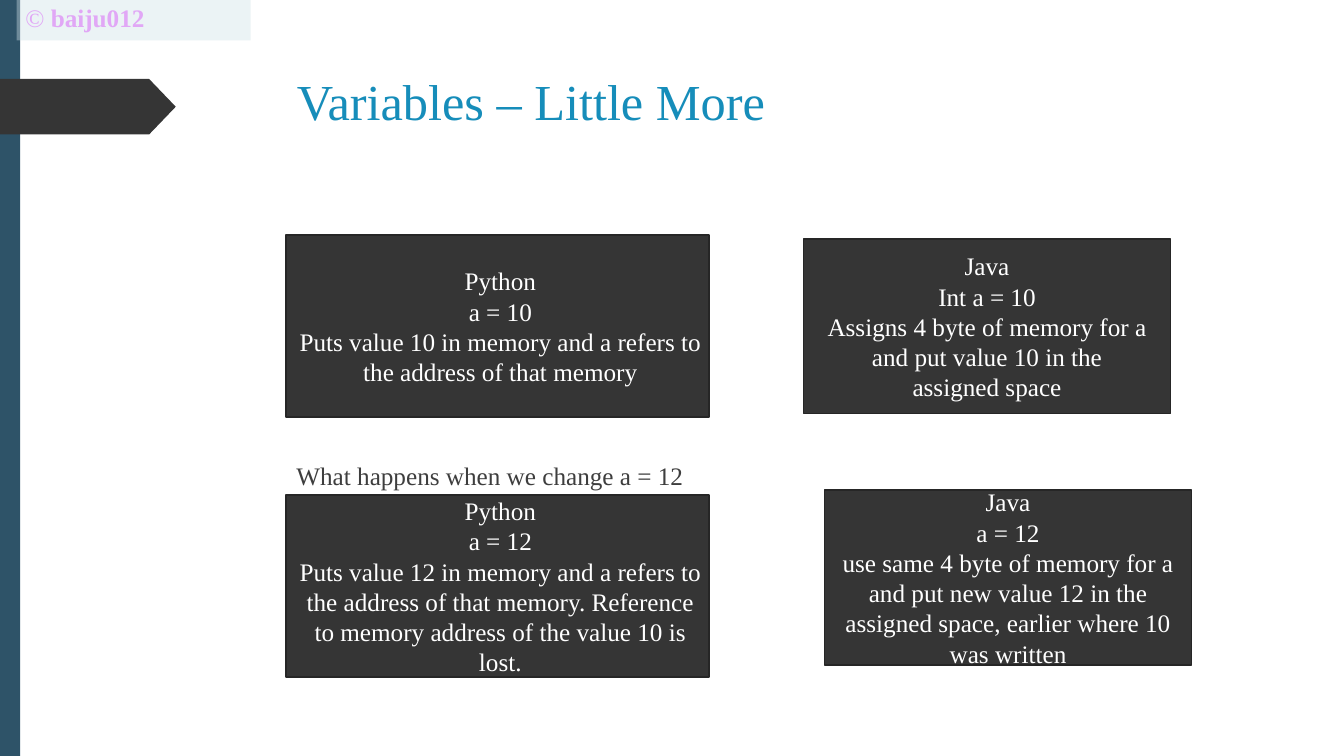
"""Build a slide comparing how Python and Java store variables."""
from dataclasses import dataclass
from typing import Optional

from lxml import etree
from pptx import Presentation
from pptx.dml.color import RGBColor
from pptx.enum import shapes, text
from pptx.oxml.ns import qn
from pptx.util import Cm, Pt


@dataclass(frozen=True)
class Theme:
    """Colours, font and type sizes of the slide."""
    font: str = "Times New Roman"
    heading_size: float = 36
    body_size: float = 18
    line_pitch: float = 21.6
    outline_width: float = 1.25
    bar: str = "2E5368"
    dark: str = "353535"
    outline: str = "262626"
    band: str = "CEE1E7"
    credit: str = "E1A7F6"
    heading: str = "168DBA"
    body: str = "3E3E3E"
    light: str = "FFFFFF"


@dataclass(frozen=True)
class Box:
    """Place and size in centimetres."""
    left: float
    top: float
    width: float
    height: float

    def lengths(self) -> tuple:
        """Return the four lengths for a shape call."""
        return Cm(self.left), Cm(self.top), Cm(self.width), Cm(self.height)


@dataclass(frozen=True)
class Panel:
    """A dark panel with centred lines and its side margins."""
    box: Box
    lines: tuple
    margins: tuple


@dataclass(frozen=True)
class Label:
    """A single line of text made of (wording, bold) pieces."""
    box: Box
    pieces: tuple
    size: float
    color: str


@dataclass(frozen=True)
class Decor:
    """A plain filled shape."""
    kind: shapes.MSO_SHAPE
    box: Box
    color: str
    alpha: Optional[int] = None
    point: Optional[float] = None


THEME = Theme()
RECT = shapes.MSO_SHAPE.RECTANGLE
PYTHON_MARGINS = (0.25, 0.1)
JAVA_MARGINS = (0.25, 0.25)

DECOR = (
    Decor(RECT, Box(0, 0, 0.51, 19.05), THEME.bar),
    Decor(shapes.MSO_SHAPE.PENTAGON, Box(0, 1.99, 4.43, 1.4), THEME.dark, point=0.48),
    Decor(RECT, Box(0.42, 0, 5.9, 1.02), THEME.band, alpha=40),
)
LABELS = (
    Label(Box(0.64, 0.06, 4.6, 0.84), (("©", False), (" baiju012", True)),
          THEME.body_size, THEME.credit),
    Label(Box(7.48, 1.78, 12.4, 1.6), (("Variables – Little More", False),),
          THEME.heading_size, THEME.heading),
    Label(Box(7.47, 11.6, 10.4, 0.84), (("What happens when we change a = 12", False),),
          THEME.body_size, THEME.body),
)
PANELS = (
    Panel(Box(20.25, 6.02, 9.25, 4.4),
          ("Java", "Int a = 10",
           "Assigns 4 byte of memory for a and put value 10 in the\vassigned space"),
          JAVA_MARGINS),
    Panel(Box(7.2, 5.93, 10.67, 4.58),
          ("Python", "a = 10",
           "Puts value 10 in memory and a refers to the address of that memory"),
          PYTHON_MARGINS),
    Panel(Box(7.2, 12.48, 10.67, 4.58),
          ("Python", "a = 12",
           "Puts value 12 in memory and a refers to the address of that memory. "
           "Reference to memory address of the value 10 is lost."),
          PYTHON_MARGINS),
    Panel(Box(20.78, 12.35, 9.25, 4.4),
          ("Java", "a = 12",
           "use same 4 byte of memory for a and put new value 12 in the "
           "assigned space, earlier where 10 was written"),
          JAVA_MARGINS),
)


def style_run(r, size: float, color: str, bold: bool = False) -> None:
    """Give a run its font, size and colour."""
    r.font.name = THEME.font
    r.font.size = Pt(size)
    r.font.bold = bold
    r.font.color.rgb = RGBColor.from_string(color)


def add_filled(slide, kind: shapes.MSO_SHAPE, box: Box, color: str):
    """Add a flat shape without outline."""
    sp = slide.shapes.add_shape(kind, *box.lengths())
    sp.shadow.inherit = False
    sp.fill.solid()
    sp.fill.fore_color.rgb = RGBColor.from_string(color)
    sp.line.fill.background()
    return sp


def add_decor(slide, decor: Decor) -> None:
    """Draw one background shape."""
    sp = add_filled(slide, decor.kind, decor.box, decor.color)
    if decor.point is not None:
        sp.adjustments[0] = decor.point
    if decor.alpha is not None:
        clr = sp.fill._xPr.find(qn("a:solidFill"))[0]
        etree.SubElement(clr, qn("a:alpha")).set("val", str(decor.alpha * 1000))


def set_margins(tf, left: float = 0, right: float = 0) -> None:
    """Set the side margins and clear the others."""
    tf.margin_left, tf.margin_right = Cm(left), Cm(right)
    tf.margin_top = tf.margin_bottom = 0
    tf.word_wrap = True


def add_label(slide, label: Label) -> None:
    """Draw one line of free text."""
    tf = slide.shapes.add_textbox(*label.box.lengths()).text_frame
    set_margins(tf)
    for wording, bold in label.pieces:
        r = tf.paragraphs[0].add_run()
        r.text = wording
        style_run(r, label.size, label.color, bold)


def add_panel(slide, panel: Panel) -> None:
    """Draw one dark panel with its centred text."""
    sp = add_filled(slide, RECT, panel.box, THEME.dark)
    sp.line.color.rgb = RGBColor.from_string(THEME.outline)
    sp.line.width = Pt(THEME.outline_width)
    tf = sp.text_frame
    set_margins(tf, *panel.margins)
    tf.vertical_anchor = text.MSO_ANCHOR.MIDDLE
    tf.text = "\n".join(panel.lines)
    for p in tf.paragraphs:
        p.alignment = text.PP_ALIGN.CENTER
        p.line_spacing = Pt(THEME.line_pitch)
        for r in p.runs:
            style_run(r, THEME.body_size, THEME.light)


def main() -> None:
    """Build and save the slide."""
    prs = Presentation()
    prs.slide_width, prs.slide_height = Cm(33.87), Cm(19.05)
    slide = prs.slides.add_slide(prs.slide_layouts[6])
    for decor in DECOR:
        add_decor(slide, decor)
    for label in LABELS:
        add_label(slide, label)
    for panel in PANELS:
        add_panel(slide, panel)
    prs.save("out.pptx")


if __name__ == "__main__":
    main()
